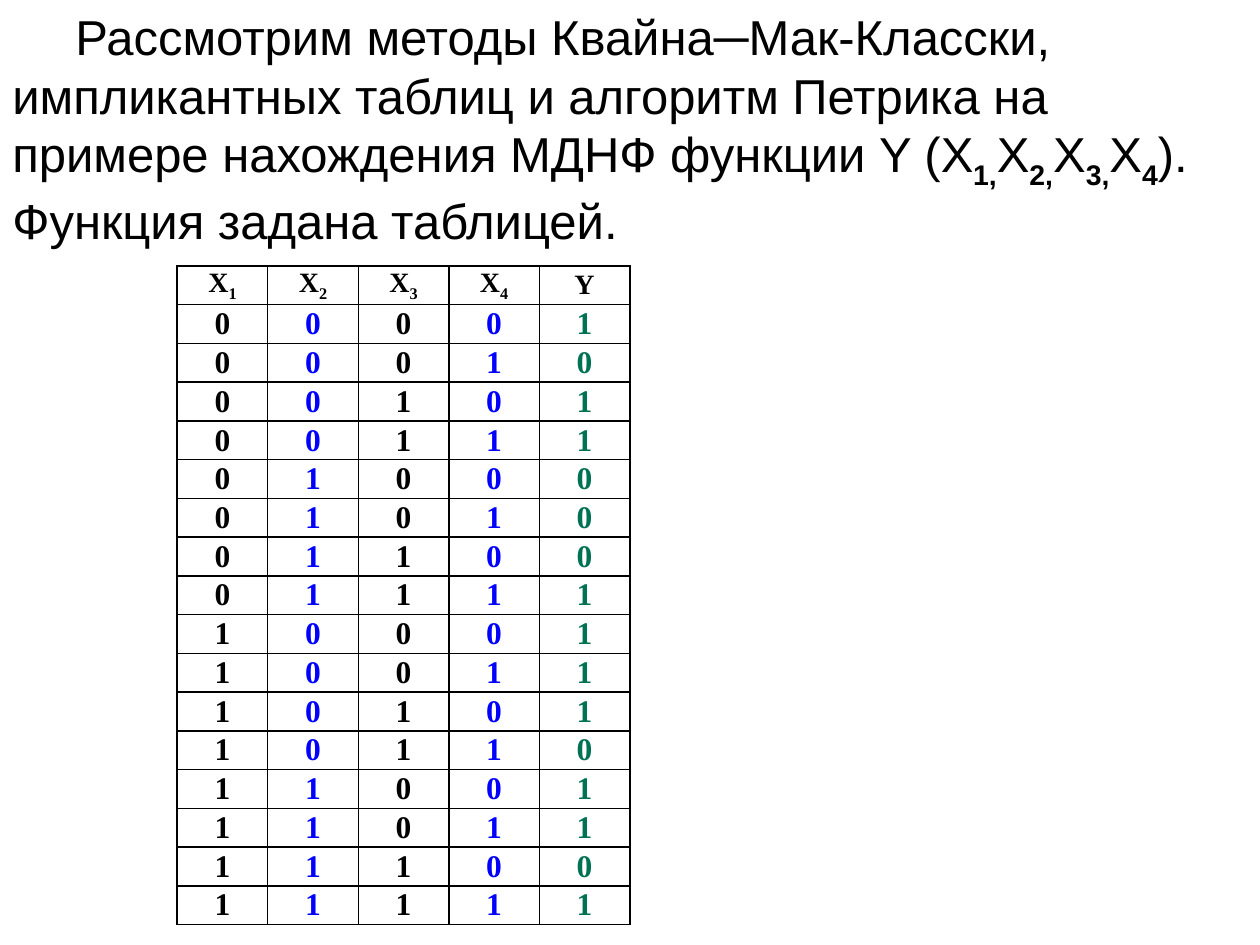
from lxml import etree
from pptx import Presentation
from pptx import util as u
from pptx.dml.color import RGBColor
from pptx.enum import text
from pptx.oxml import ns

BLACK = RGBColor(0x00, 0x00, 0x00)
BLUE = RGBColor(0x00, 0x00, 0xFF)
GREEN = RGBColor(0x00, 0x72, 0x54)
COLUMN_COLORS = [BLACK, BLUE, BLACK, BLUE, GREEN]
Y_VALUES = "1011000111101101"


def add_run(p, content, font, size, color, bold=False, subscript=False):
    r = p.add_run()
    r.text = content
    r.font.name = font
    r.font.size = u.Pt(size)
    r.font.bold = bold
    r.font.color.rgb = color
    if subscript:
        r.font._element.set("baseline", "-25000")


def add_borders(cell):
    tcPr = cell._tc.get_or_add_tcPr()
    for side in ("a:lnL", "a:lnR", "a:lnT", "a:lnB"):
        ln = etree.SubElement(tcPr, ns.qn(side), w=str(u.Pt(1)))
        fill = etree.SubElement(ln, ns.qn("a:solidFill"))
        etree.SubElement(fill, ns.qn("a:srgbClr"), val=str(BLACK))


prs = Presentation()
prs.slide_width, prs.slide_height = u.Pt(720), u.Pt(540)
s = prs.slides.add_slide(prs.slide_layouts[6])

# Introduction
sp = s.shapes.add_textbox(u.Pt(0), u.Pt(0), u.Pt(720), u.Pt(143.3))
tf = sp.text_frame
tf.word_wrap = True
tf.auto_size = text.MSO_AUTO_SIZE.SHAPE_TO_FIT_TEXT
p = tf.paragraphs[0]
pPr = p._p.get_or_add_pPr()
pPr.set("marL", "0")
pPr.set("indent", str(u.Pt(36)))
intro = [
    "Рассмотрим методы Квайна─Мак-Класски, импликантных таблиц и алгоритм "
    "Петрика на примере нахождения МДНФ функции Y (X",
    "1,", "X", "2,", "X", "3,", "X", "4",
    "). Функция задана таблицей.",
]
for i, part in enumerate(intro):
    is_index = i % 2 == 1
    add_run(p, part, "Arial", 28, BLACK, bold=is_index, subscript=is_index)

# Truth table: the arguments count up in binary
rows = [["X1", "X2", "X3", "X4", "Y"]]
rows += [list(f"{n:04b}" + y) for n, y in enumerate(Y_VALUES)]
col_width, row_height = u.Pt(51.75), u.Pt(22.15)
frame = s.shapes.add_table(len(rows), 5, u.Pt(101.25), u.Pt(152),
                           col_width * 5, row_height * len(rows))
table = frame.table
for column in table.columns:
    column.width = col_width
for i, values in enumerate(rows):
    table.rows[i].height = row_height
    for j, value in enumerate(values):
        cell = table.cell(i, j)
        cell.margin_left = cell.margin_right = u.Pt(5)
        cell.margin_top = cell.margin_bottom = u.Pt(0)
        cell.vertical_anchor = text.MSO_ANCHOR.MIDDLE
        add_borders(cell)
        cell.fill.background()
        p = cell.text_frame.paragraphs[0]
        p.alignment = text.PP_ALIGN.CENTER
        size, color = (16, BLACK) if i == 0 else (18, COLUMN_COLORS[j])
        add_run(p, value[0], "Times New Roman", size, color, bold=True)
        if len(value) > 1:
            add_run(p, value[1], "Times New Roman", size, color,
                    bold=True, subscript=True)

prs.save("out.pptx")
